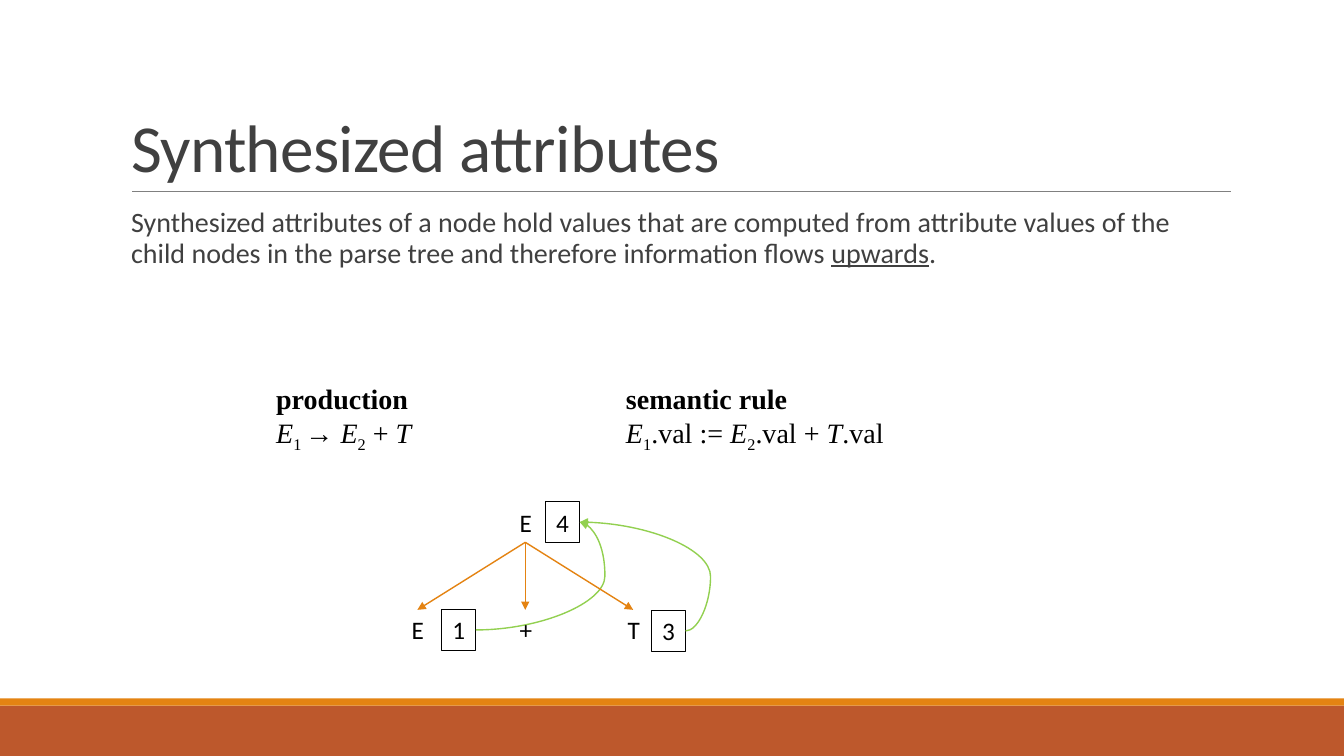
from dataclasses import dataclass

from lxml import etree
from pptx import Presentation
from pptx.dml.color import RGBColor
from pptx.enum.shapes import MSO_CONNECTOR, MSO_SHAPE
from pptx.enum.text import MSO_ANCHOR, MSO_AUTO_SIZE, PP_ALIGN
from pptx.oxml.ns import qn
from pptx.util import Inches, Pt

RECT = MSO_SHAPE.RECTANGLE
STRAIGHT, CURVE = MSO_CONNECTOR.STRAIGHT, MSO_CONNECTOR.CURVE
TOP, BOTTOM, RIGHT = 0, 2, 3


@dataclass(frozen=True)
class Theme:
    sans: str = "Calibri"
    serif: str = "Times New Roman"
    text: str = "404040"
    black: str = "000000"
    rust: str = "BD582C"
    orange: str = "E48312"
    green: str = "92D050"
    grey: str = "808080"
    title_size: int = 48
    body_size: int = 20
    node_size: int = 18


THEME = Theme()

TITLE = "Synthesized attributes"
# Runs are (text, marks): b bold, i italic, u underlined, s subscript
BODY = [
    ("Synthesized attributes of a node hold values that are computed from "
     "attribute values of the child nodes in the parse tree and therefore "
     "information flows ", ""),
    ("upwards", "u"), (".", ""),
]
RULES = [
    [("production\tsemantic rule", "b")],
    [("E", "i"), ("1 ", "s"), ("→ ", ""), ("E", "i"), ("2", "s"), (" + ", ""),
     ("T\tE", "i"), ("1", "s"), (".val := ", ""), ("E", "i"), ("2", "s"),
     (".val + ", ""), ("T", "i"), (".val", "")],
]
RULE_COLUMN = 3.47

# Nodes are (symbol, centre x, top, value, value box left, value box top)
ROOT_X, ROOT_Y, CHILD_STEP, CHILD_Y = 5.21, 4.98, 1.07, 6.05
ROOT = ("E", ROOT_X, ROOT_Y, "4", 5.41, ROOT_Y)
CHILDREN = [
    ("E", ROOT_X - CHILD_STEP, CHILD_Y, "1", 4.38, CHILD_Y),
    ("+", ROOT_X, CHILD_Y, None, None, None),
    ("T", ROOT_X + CHILD_STEP, CHILD_Y, "3", 6.46, 6.06),
]
CURVE_BENDS = {"1": 124300, "3": -23600}
NODE_W, VALUE_W, NODE_H = 0.31, 0.34, 0.4


def rgb(color):
    return RGBColor.from_string(color)


def add_runs(p, runs, font, size, color):
    for text, marks in runs:
        r = p.add_run()
        r.text = text
        f = r.font
        f.name, f.size, f.color.rgb = font, Pt(size), rgb(color)
        f.bold, f.italic, f.underline = "b" in marks, "i" in marks, "u" in marks
        if "s" in marks:
            f._element.set("baseline", "-25000")


def place(shape, *box):
    shape.left, shape.top, shape.width, shape.height = map(Inches, box)


def add_rect(s, box, fill=None, line=None):
    sp = s.shapes.add_shape(RECT, *map(Inches, box))
    sp.shadow.inherit = False
    if fill:
        sp.fill.solid()
        sp.fill.fore_color.rgb = rgb(fill)
    else:
        sp.fill.background()
    if line:
        sp.line.color.rgb, sp.line.width = rgb(line), Pt(0.75)
    else:
        sp.line.fill.background()
    return sp


def label(sp, text):
    tf = sp.text_frame
    tf.word_wrap = False
    tf.vertical_anchor = MSO_ANCHOR.TOP
    p = tf.paragraphs[0]
    p.alignment = PP_ALIGN.CENTER
    add_runs(p, [(text, "")], THEME.sans, THEME.node_size, THEME.black)


def add_line(s, kind, color, width, ends=(0, 0, 0, 0), arrow=False):
    cx = s.shapes.add_connector(kind, *map(Inches, ends))
    cx.line.color.rgb, cx.line.width = rgb(color), Pt(width)
    if arrow:
        etree.SubElement(cx.line._get_or_add_ln(), qn("a:tailEnd"), type="triangle")
    etree.SubElement(cx._element.spPr, qn("a:effectLst"))
    return cx


def join(cx, start, start_site, end, end_site):
    cx.begin_connect(start, start_site)
    cx.end_connect(end, end_site)


def bend(cx, amount):
    """Set how far a curved connector swings out, in 1/100000 of its width."""
    guides = cx._element.spPr.find(qn("a:prstGeom")).get_or_add_avLst()
    etree.SubElement(guides, qn("a:gd"), name="adj1", fmla=f"val {amount}")


def add_node(s, symbol, center, top, value, value_left, value_top):
    """Draw a tree node and return its symbol box and its value box, if any."""
    box = (center - NODE_W / 2, top, NODE_W, NODE_H)
    node = s.shapes.add_textbox(*map(Inches, box))
    label(node, symbol)
    if value is None:
        return node, None
    cell = add_rect(s, (value_left, value_top, VALUE_W, NODE_H), line=THEME.black)
    label(cell, value)
    return node, cell


def add_frame(s):
    add_rect(s, (0, 7, 13.33, 0.5), THEME.rust)
    add_rect(s, (0, 6.93, 13.33, 0.07), THEME.orange)
    add_line(s, STRAIGHT, THEME.grey, 0.5, (1.31, 1.9, 12.21, 1.9))


def add_title(s):
    sp = s.shapes.title
    place(sp, 1.2, 0.31, 11, 1.59)
    tf = sp.text_frame
    tf.auto_size, tf.vertical_anchor = MSO_AUTO_SIZE.NONE, MSO_ANCHOR.BOTTOM
    p = tf.paragraphs[0]
    p.alignment, p.line_spacing = PP_ALIGN.LEFT, 0.85
    add_runs(p, [(TITLE, "")], THEME.sans, THEME.title_size, THEME.text)
    p.runs[0].font._element.set("spc", "-50")


def add_body(s):
    sp = s.placeholders[1]
    place(sp, 1.2, 2.02, 11, 4.4)
    tf = sp.text_frame
    tf.auto_size = MSO_AUTO_SIZE.NONE
    tf.margin_left = tf.margin_right = 0
    p = tf.paragraphs[0]
    p.line_spacing, p.space_before, p.space_after = 0.9, Pt(12), Pt(2)
    pPr = p._p.get_or_add_pPr()
    pPr.set("marL", str(Inches(0.1)))
    pPr.set("indent", "0")
    etree.SubElement(pPr, qn("a:buNone"))
    add_runs(p, BODY, THEME.sans, THEME.body_size, THEME.text)


def add_rules(s):
    tf = s.shapes.add_textbox(*map(Inches, (2.64, 3.74, 6.38, 0.77))).text_frame
    tf.word_wrap = True
    for i, runs in enumerate(RULES):
        p = tf.add_paragraph() if i else tf.paragraphs[0]
        tabs = etree.SubElement(p._p.get_or_add_pPr(), qn("a:tabLst"))
        etree.SubElement(tabs, qn("a:tab"), pos=str(Inches(RULE_COLUMN)), algn="l")
        add_runs(p, runs, THEME.serif, THEME.body_size, THEME.black)


def add_tree(s):
    root, total = add_node(s, *ROOT)
    for child in CHILDREN:
        node, cell = add_node(s, *child)
        branch = add_line(s, STRAIGHT, THEME.orange, 1, arrow=True)
        join(branch, root, BOTTOM, node, TOP)
        if cell is not None:
            flow = add_line(s, CURVE, THEME.green, 1, arrow=True)
            join(flow, cell, RIGHT, total, RIGHT)
            bend(flow, CURVE_BENDS[child[3]])


def main():
    prs = Presentation()
    prs.slide_width, prs.slide_height = Inches(13.33), Inches(7.5)
    s = prs.slides.add_slide(prs.slide_layouts[1])
    add_frame(s)
    add_title(s)
    add_body(s)
    add_rules(s)
    add_tree(s)
    prs.save("out.pptx")


if __name__ == "__main__":
    main()
